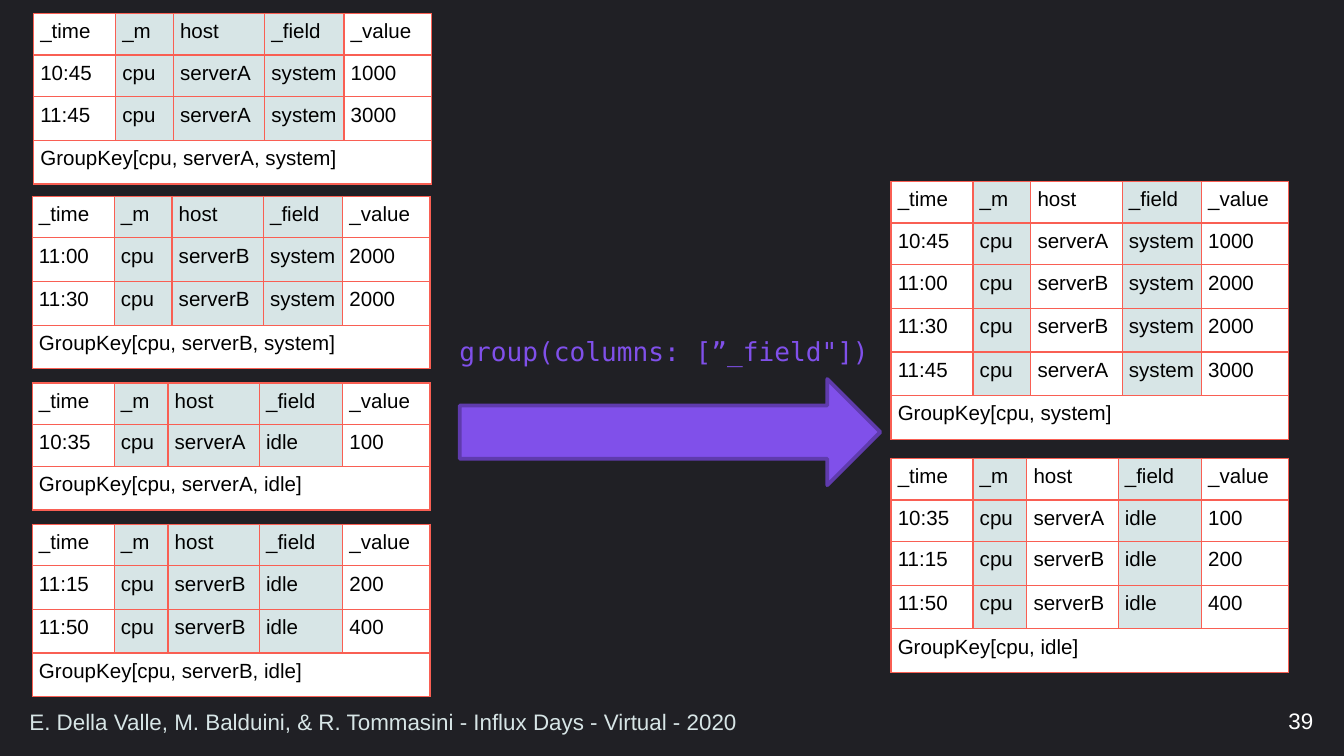
from dataclasses import dataclass

from lxml.etree import SubElement
from pptx import Presentation
from pptx.dml.color import RGBColor
from pptx.enum.shapes import MSO_SHAPE
from pptx.enum.text import MSO_ANCHOR, MSO_AUTO_SIZE, PP_ALIGN
from pptx.oxml.ns import qn
from pptx.slide import Slide
from pptx.table import _Cell
from pptx.util import Inches, Pt

NIGHT = RGBColor(0x20, 0x20, 0x25)
WHITE = RGBColor(0xFF, 0xFF, 0xFF)
BLACK = RGBColor(0x00, 0x00, 0x00)
MIST = RGBColor(0xD7, 0xE5, 0xE6)
CORAL = RGBColor(0xF9, 0x5F, 0x53)
PURPLE = RGBColor(0x80, 0x50, 0xEA)
DEEP_PURPLE = RGBColor(0x5F, 0x3B, 0xAD)

SLIDE_WIDTH = 10
SLIDE_HEIGHT = SLIDE_WIDTH * 9 / 16
HEADERS = ("_time", "_m", "host", "_field", "_value")
COLUMN_WIDTHS = {
    "system": (0.61, 0.43, 0.68, 0.59, 0.65),
    "idle": (0.61, 0.40, 0.68, 0.62, 0.65),
}
BY_HOST = ("_m", "host", "_field")
BY_FIELD = ("_m", "_field")
SHORT_ROW, TALL_ROW = 0.31, 1.3 / 4
CELL_MARGIN = Inches(0.05)


@dataclass(frozen=True)
class Reading:
    time: str
    host: str
    value: str


@dataclass(frozen=True)
class Series:
    left: float
    top: float
    field: str
    key_columns: tuple[str, ...]
    readings: tuple[Reading, ...]
    short_rows: int = 2


@dataclass(frozen=True)
class Label:
    left: float
    top: float
    width: float
    height: float
    text: str
    size: float
    color: RGBColor
    font: str = "Arial"
    align: PP_ALIGN = PP_ALIGN.LEFT
    anchor: MSO_ANCHOR = MSO_ANCHOR.MIDDLE
    line_spacing: float = 1.0
    auto_size: MSO_AUTO_SIZE = MSO_AUTO_SIZE.NONE


SYSTEM_A1 = Reading("10:45", "serverA", "1000")
SYSTEM_A2 = Reading("11:45", "serverA", "3000")
SYSTEM_B1 = Reading("11:00", "serverB", "2000")
SYSTEM_B2 = Reading("11:30", "serverB", "2000")
IDLE_A = Reading("10:35", "serverA", "100")
IDLE_B1 = Reading("11:15", "serverB", "200")
IDLE_B2 = Reading("11:50", "serverB", "400")

ALL_SERIES = (
    Series(6.63, 1.35, "system", BY_FIELD,
           (SYSTEM_A1, SYSTEM_B1, SYSTEM_B2, SYSTEM_A2)),
    Series(0.24, 1.46, "system", BY_HOST, (SYSTEM_B1, SYSTEM_B2), short_rows=1),
    Series(0.24, 3.90, "idle", BY_HOST, (IDLE_B1, IDLE_B2), short_rows=1),
    Series(0.25, 0.10, "system", BY_HOST, (SYSTEM_A1, SYSTEM_A2)),
    Series(0.24, 2.85, "idle", BY_HOST, (IDLE_A,)),
    Series(6.63, 3.41, "idle", BY_FIELD, (IDLE_A, IDLE_B1, IDLE_B2)),
)

CALL_LABEL = Label(3.32, 2.31, 3.83, 0.44, "group(columns: [”_field\"])", 14, PURPLE,
                   font="DejaVu Sans Mono", anchor=MSO_ANCHOR.TOP, line_spacing=1.6,
                   auto_size=MSO_AUTO_SIZE.SHAPE_TO_FIT_TEXT)
FOOTER_LABELS = (
    Label(7.62, 5.21, 2.25, 0.30, "39", 12, WHITE, align=PP_ALIGN.RIGHT),
    Label(0.12, 5.22, 7.45, 0.29,
          "E. Della Valle, M. Balduini, & R. Tommasini - Influx Days - Virtual - 2020",
          12, MIST),
)


def set_font(font, name: str, size: float, color: RGBColor) -> None:
    for attribute, value in {"name": name, "size": Pt(size)}.items():
        setattr(font, attribute, value)
    font.color.rgb = color


def add_borders(cell: _Cell) -> None:
    properties = cell._tc.get_or_add_tcPr()
    for side in ("a:lnL", "a:lnR", "a:lnT", "a:lnB"):
        line = SubElement(properties, qn(side), w=str(Pt(0.75)))
        fill = SubElement(line, qn("a:solidFill"))
        SubElement(fill, qn("a:srgbClr"), val=str(CORAL))


def format_cell(cell: _Cell, text: str, color: RGBColor) -> None:
    for side in ("left", "right", "top", "bottom"):
        setattr(cell, f"margin_{side}", CELL_MARGIN)
    add_borders(cell)
    cell.fill.solid()
    cell.fill.fore_color.rgb = color
    if text:
        span = cell.text_frame.paragraphs[0].add_run()
        span.text = text
        set_font(span.font, "Arial", 11, BLACK)


def add_series(slide: Slide, series: Series) -> None:
    """Add a table whose key columns are tinted and whose last row names the key."""
    records = [(reading.time, "cpu", reading.host, series.field, reading.value)
               for reading in series.readings]
    key = ", ".join(value for header, value in zip(HEADERS, records[0])
                    if header in series.key_columns)
    rows = [HEADERS, *records, (f"GroupKey[{key}]", "", "", "", "")]
    last = len(rows) - 1
    widths = COLUMN_WIDTHS[series.field]
    heights = [SHORT_ROW if index < series.short_rows else TALL_ROW
               for index in range(len(rows))]

    table = slide.shapes.add_table(
        len(rows), len(HEADERS), Inches(series.left), Inches(series.top),
        Inches(sum(widths)), Inches(sum(heights))).table
    for column, width in zip(table.columns, widths):
        column.width = Inches(width)
    for row, height in zip(table.rows, heights):
        row.height = Inches(height)
    for row_index, values in enumerate(rows):
        for column_index, text in enumerate(values):
            tinted = row_index < last and HEADERS[column_index] in series.key_columns
            format_cell(table.cell(row_index, column_index), text,
                        MIST if tinted else WHITE)
    table.cell(last, 0).merge(table.cell(last, len(HEADERS) - 1))


def add_label(slide: Slide, label: Label) -> None:
    box = slide.shapes.add_textbox(Inches(label.left), Inches(label.top),
                                   Inches(label.width), Inches(label.height))
    frame_format = {"word_wrap": True, "auto_size": label.auto_size,
                    "vertical_anchor": label.anchor}
    for attribute, value in frame_format.items():
        setattr(box.text_frame, attribute, value)
    para = box.text_frame.paragraphs[0]
    para.alignment = label.align
    para.line_spacing = label.line_spacing
    span = para.add_run()
    span.text = label.text
    set_font(span.font, label.font, label.size, label.color)


def add_backdrop(slide: Slide) -> None:
    backdrop = slide.shapes.add_shape(MSO_SHAPE.RECTANGLE, 0, 0,
                                      Inches(SLIDE_WIDTH), Inches(SLIDE_HEIGHT))
    backdrop.shadow.inherit = False
    backdrop.fill.solid()
    backdrop.fill.fore_color.rgb = NIGHT
    backdrop.line.fill.background()


def add_group_arrow(slide: Slide) -> None:
    arrow = slide.shapes.add_shape(MSO_SHAPE.UP_ARROW, Inches(4.59), Inches(1.65),
                                   Inches(0.79), Inches(3.13))
    arrow.rotation = 90
    arrow.shadow.inherit = False
    arrow.fill.solid()
    arrow.fill.fore_color.rgb = PURPLE
    arrow.line.color.rgb = DEEP_PURPLE
    arrow.line.width = Pt(2)


def main() -> None:
    deck = Presentation()
    deck.slide_width = Inches(SLIDE_WIDTH)
    deck.slide_height = Inches(SLIDE_HEIGHT)
    page = deck.slides.add_slide(deck.slide_layouts[6])
    add_backdrop(page)
    add_group_arrow(page)
    add_label(page, CALL_LABEL)
    for series in ALL_SERIES:
        add_series(page, series)
    for label in FOOTER_LABELS:
        add_label(page, label)
    deck.save("out.pptx")


if __name__ == "__main__":
    main()
